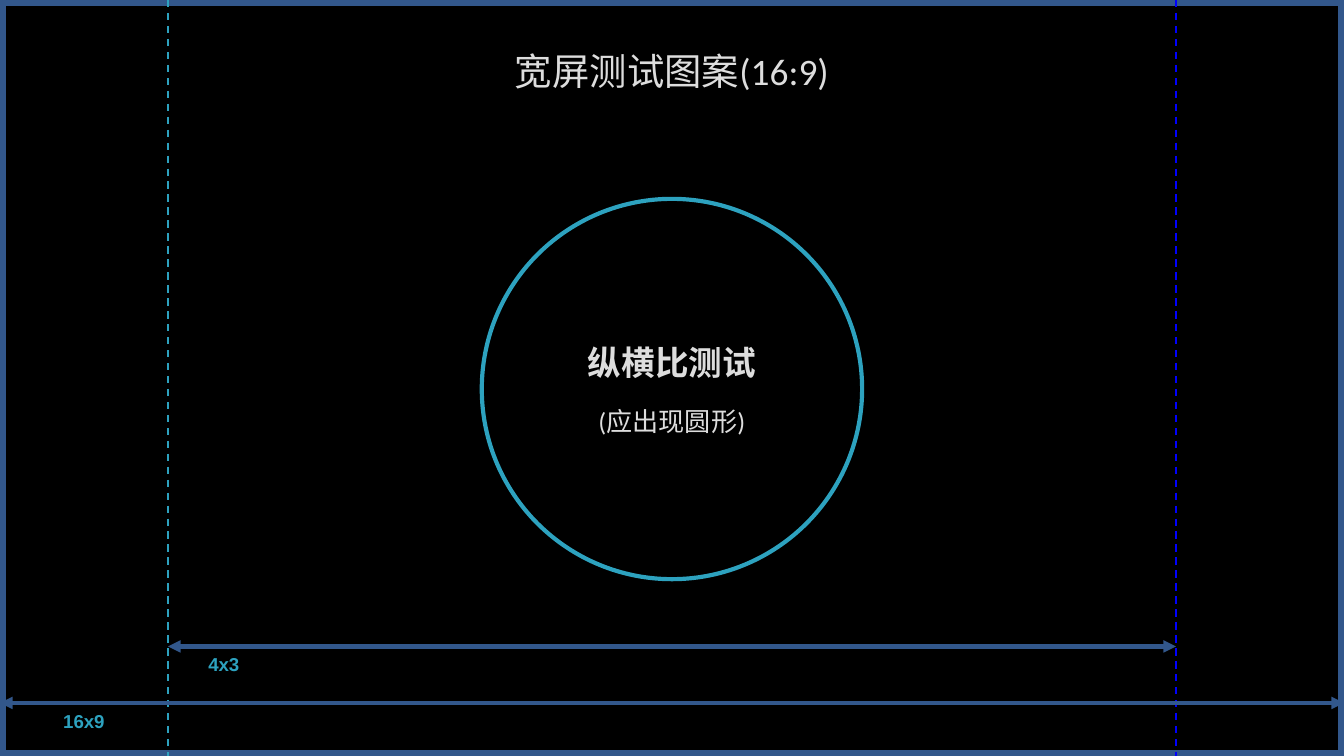
from dataclasses import dataclass

from lxml import etree
from pptx import Presentation
from pptx.dml.color import RGBColor
from pptx.enum.dml import MSO_LINE
from pptx.enum.shapes import MSO_CONNECTOR, MSO_SHAPE
from pptx.enum.text import MSO_ANCHOR, MSO_AUTO_SIZE, PP_ALIGN
from pptx.oxml.ns import qn
from pptx.util import Inches, Pt

DASH = MSO_LINE.DASH
STRAIGHT = MSO_CONNECTOR.STRAIGHT
OVAL, RECT = MSO_SHAPE.OVAL, MSO_SHAPE.RECTANGLE
TOP, MIDDLE = MSO_ANCHOR.TOP, MSO_ANCHOR.MIDDLE
NO_FIT, GROW = MSO_AUTO_SIZE.NONE, MSO_AUTO_SIZE.SHAPE_TO_FIT_TEXT
LEFT, CENTER = PP_ALIGN.LEFT, PP_ALIGN.CENTER
TITLE_ONLY = 5


@dataclass(frozen=True)
class Theme:
    """Colours, fonts and type sizes of the test pattern."""
    back: str = "000000"
    text: str = "DDDDDD"
    frame: str = "32578B"
    accent: str = "2DA2BF"
    guide: str = "0000FF"
    body_font: str = "Calibri"
    label_font: str = "Arial"
    title: float = 20
    heading: float = 18
    note: float = 14
    label: float = 10


THEME = Theme()


def rgb(value):
    """Turn a hex string into a colour."""
    return RGBColor.from_string(value)


def add_run(p, text, size, color=THEME.text, font=THEME.body_font, bold=False):
    """Append one formatted run to a paragraph."""
    r = p.add_run()
    r.text = text
    r.font.size, r.font.name, r.font.bold = Pt(size), font, bold
    r.font.color.rgb = rgb(color)


def add_outline(s, kind, box, color, width):
    """Draw an unfilled preset shape in the given box."""
    sp = s.shapes.add_shape(kind, *map(Inches, box))
    sp.shadow.inherit = False
    sp.fill.background()
    sp.line.color.rgb = rgb(color)
    sp.line.width = Pt(width)
    return sp


def add_line(s, start, end, color, width, dash=None, arrows=False):
    """Draw a straight line, dashed or with arrowheads at both ends."""
    cx = s.shapes.add_connector(STRAIGHT, *map(Inches, start + end))
    cx.line.color.rgb = rgb(color)
    cx.line.width = Pt(width)
    if dash:
        cx.line.dash_style = dash
    if arrows:
        ln = cx.line._get_or_add_ln()
        for tag in ("a:headEnd", "a:tailEnd"):
            etree.SubElement(ln, qn(tag)).set("type", "triangle")
    etree.SubElement(cx._element.spPr, qn("a:effectLst"))


def add_title(s, box, text):
    """Place the slide title in the given box."""
    sp = s.shapes.title
    sp.left, sp.top, sp.width, sp.height = map(Inches, box)
    tf = sp.text_frame
    tf.word_wrap, tf.auto_size, tf.vertical_anchor = True, NO_FIT, TOP
    p = tf.paragraphs[0]
    p.alignment = CENTER
    add_run(p, text, THEME.title)


def add_circle(s, box, heading, note):
    """Draw the aspect ratio circle with its two centred lines."""
    sp = add_outline(s, OVAL, box, THEME.accent, 2.25)
    tf = sp.text_frame
    tf.word_wrap, tf.vertical_anchor = True, MIDDLE
    p = tf.paragraphs[0]
    p.alignment = CENTER
    add_run(p, heading, THEME.heading, bold=True)
    p = tf.add_paragraph()
    p.alignment = CENTER
    p.space_before = Pt(12.5)
    add_run(p, note, THEME.note)


def add_span(s, box, label, indent):
    """Draw a width arrow along the top of the box and its label below."""
    left, top, width, height = box
    add_line(s, (left, top), (left + width, top), THEME.frame, 2.25, arrows=True)
    sp = s.shapes.add_textbox(*map(Inches, (left + indent, top, 0.58, height)))
    tf = sp.text_frame
    tf.word_wrap, tf.auto_size = True, GROW
    tf.margin_left = tf.margin_right = Inches(0.05)
    tf.margin_top = tf.margin_bottom = Inches(0.05)
    p = tf.paragraphs[0]
    p.alignment = LEFT
    add_run(p, label, THEME.label, THEME.accent, THEME.label_font, True)


def build_pattern(s, box):
    """Lay out the widescreen test pattern inside the given box."""
    left, top, width, height = box
    fill = s.background.fill
    fill.solid()
    fill.fore_color.rgb = rgb(THEME.back)

    inner = width * 3 / 4
    inner_left = left + (width - inner) / 2
    diameter = 2.83

    add_outline(s, RECT, box, THEME.frame, 6)
    add_title(s, (left + 0.75, top + 0.31, width - 1.5, 0.92), "宽屏测试图案(16:9)")
    for x, color in ((inner_left, THEME.accent), (inner_left + inner, THEME.guide)):
        add_line(s, (x, top), (x, top + height), color, 1, dash=DASH)
    add_circle(s, (left + (width - diameter) / 2, top + 1.48, diameter, diameter),
               "纵横比测试", "(应出现圆形)")
    add_span(s, (left, top + 5.23, width, 0.27), "16x9", 0.42)
    add_span(s, (inner_left, top + 4.81, inner, 0.27), "4x3", 0.25)


def main():
    """Build and save the presentation."""
    prs = Presentation()
    width = 10
    height = width * 9 / 16
    prs.slide_width, prs.slide_height = Inches(width), Inches(height)
    s = prs.slides.add_slide(prs.slide_layouts[TITLE_ONLY])
    build_pattern(s, (0, 0, width, height))
    prs.save("out.pptx")


main()
